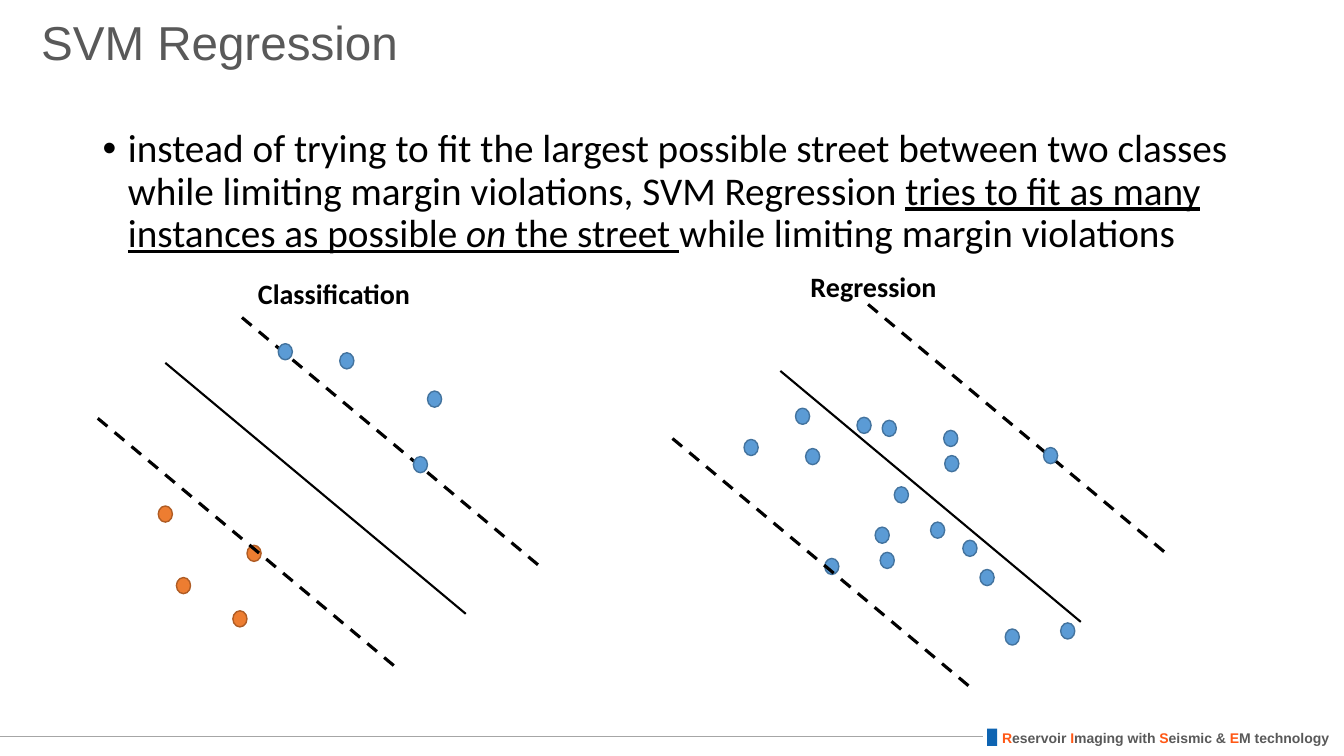
from lxml import etree
from pptx import Presentation
from pptx.dml.color import RGBColor
from pptx.enum.dml import MSO_LINE
from pptx.enum.shapes import MSO_CONNECTOR, MSO_SHAPE
from pptx.enum.text import MSO_ANCHOR
from pptx.oxml.ns import qn
from pptx.util import Inches, Pt

WIDTH, HEIGHT = Inches(13.33), Inches(7.5)
COLUMN, ROW = WIDTH / 1333, HEIGHT / 750
DASH = MSO_LINE.DASH
STRAIGHT = MSO_CONNECTOR.STRAIGHT
OVAL, RECTANGLE = MSO_SHAPE.OVAL, MSO_SHAPE.RECTANGLE
TOP, MIDDLE = MSO_ANCHOR.TOP, MSO_ANCHOR.MIDDLE
COLORS = {
    "black": "000000", "gray": "595959", "rule": "A6A6A6",
    "accent": "FF5815", "marker": "0E64B2",
    "blue": "5B9BD5", "blue edge": "43739E",
    "orange": "ED7D31", "orange edge": "AF5C24",
}
STREET_RUN = (298, 249)
DOT_SIZE = (14, 16)

CLASSIFICATION = {
    "title": ("Classification", 149, -46),
    "edges": [(143, 0), (0, 100)],
    "center": (67, 45),
    "dots": {
        "blue": [(313, 138), (179, 26), (327, 73), (240, 35)],
        "orange": [(134, 291), (78, 258), (148, 226), (60, 187)],
    },
}
REGRESSION = {
    "title": ("Regression", 127, -40),
    "edges": [(194, 0), (0, 133)],
    "center": (107, 66),
    "dots": {
        "blue": [
            (256, 216), (122, 103), (270, 150), (183, 112), (201, 221), (208, 115),
            (368, 142), (269, 125), (288, 234), (385, 316), (305, 263), (330, 322),
            (206, 246), (71, 134), (220, 181), (132, 143), (151, 252),
        ],
    },
}


def color(name):
    return RGBColor.from_string(COLORS[name])


def place(left, top, width, height):
    return [round(value) for value in (left * COLUMN, top * ROW, width * COLUMN, height * ROW)]


def add_text_box(slide, box, anchor=TOP, wrap=True):
    frame = slide.shapes.add_textbox(*place(*box)).text_frame
    frame.word_wrap = wrap
    frame.vertical_anchor = anchor
    return frame.paragraphs[0]


def add_run(paragraph, text, size, font, color_name, bold=False, italic=False, underline=False):
    run = paragraph.add_run()
    run.text = text
    run.font.size = Pt(size)
    run.font.name = font
    run.font.color.rgb = color(color_name)
    run.font.bold = bold
    run.font.italic = italic
    run.font.underline = underline


def add_line(slide, left, top, run, color_name, weight, dash=None):
    begin_x, begin_y, width, height = place(left, top, *run)
    line = slide.shapes.add_connector(
        STRAIGHT, begin_x, begin_y, begin_x + width, begin_y + height)
    line.line.color.rgb = color(color_name)
    line.line.width = Pt(weight)
    if dash:
        line.line.dash_style = dash
    etree.SubElement(line._element.spPr, qn("a:effectLst"))


def add_filled_shape(slide, kind, box, fill, edge=None):
    shape = slide.shapes.add_shape(kind, *place(*box))
    shape.shadow.inherit = False
    shape.fill.solid()
    shape.fill.fore_color.rgb = color(fill)
    if edge:
        shape.line.color.rgb = color(edge)
        shape.line.width = Pt(1)
    else:
        shape.line.fill.background()


def add_footer(slide, box):
    left, top, width, height = box
    paragraph = add_text_box(slide, (left + 984, top, width - 985, height), wrap=False)
    for initial, rest in [("R", "eservoir "), ("I", "maging with "),
                          ("S", "eismic & "), ("E", "M technology")]:
        add_run(paragraph, initial, 10, "Arial", "accent", bold=True)
        add_run(paragraph, rest, 10, "Arial", "gray", bold=True)
    add_line(slide, left, top + 12, (975, 0), "rule", 0.5)
    add_filled_shape(slide, RECTANGLE, (left + 979, top + 4, 10, 17), "marker")


def add_title(slide, box):
    paragraph = add_text_box(slide, box, MIDDLE)
    paragraph.line_spacing = 0.9
    add_run(paragraph, "SVM Regression", 34, "Arial", "gray")


def add_statement(slide, box):
    paragraph = add_text_box(slide, box)
    properties = paragraph._p.get_or_add_pPr()
    properties.set("marL", str(Inches(0.25)))
    properties.set("indent", str(-Inches(0.25)))
    etree.SubElement(properties, qn("a:buFont")).set("typeface", "Arial")
    etree.SubElement(properties, qn("a:buChar")).set("char", "•")
    paragraph.line_spacing = 0.9
    for text, underline, italic in [
        ("instead of trying to fit the largest possible street between two classes "
         "while limiting margin violations, SVM Regression ", False, False),
        ("tries to fit as many instances as possible ", True, False),
        ("on", True, True),
        (" the street ", True, False),
        ("while limiting margin violations", False, False),
    ]:
        add_run(paragraph, text, 28, "Calibri", "black", italic=italic, underline=underline)


def add_street(slide, left, top, street):
    def add_edge(position):
        add_line(slide, left + position[0], top + position[1], STREET_RUN, "black", 2.25, DASH)

    upper, lower = street["edges"]
    center_x, center_y = street["center"]
    add_edge(upper)
    add_line(slide, left + center_x, top + center_y, STREET_RUN, "black", 1.5)
    for name, dots in street["dots"].items():
        for x, y in dots:
            add_filled_shape(slide, OVAL, (left + x, top + y, *DOT_SIZE), name, f"{name} edge")
    add_edge(lower)
    text, x, y = street["title"]
    paragraph = add_text_box(slide, (left + x, top + y, 185, 44))
    add_run(paragraph, text, 20, "Calibri", "black", bold=True)


def main():
    presentation = Presentation()
    presentation.slide_width, presentation.slide_height = WIDTH, HEIGHT
    slide = presentation.slides.add_slide(presentation.slide_layouts[6])
    add_footer(slide, (0, 719, 1333, 27))
    add_title(slide, (31, 0, 1150, 89))
    add_statement(slide, (92, 123, 1150, 140))
    add_street(slide, 97, 315, CLASSIFICATION)
    add_street(slide, 667, 302, REGRESSION)
    presentation.save("out.pptx")


if __name__ == "__main__":
    main()
